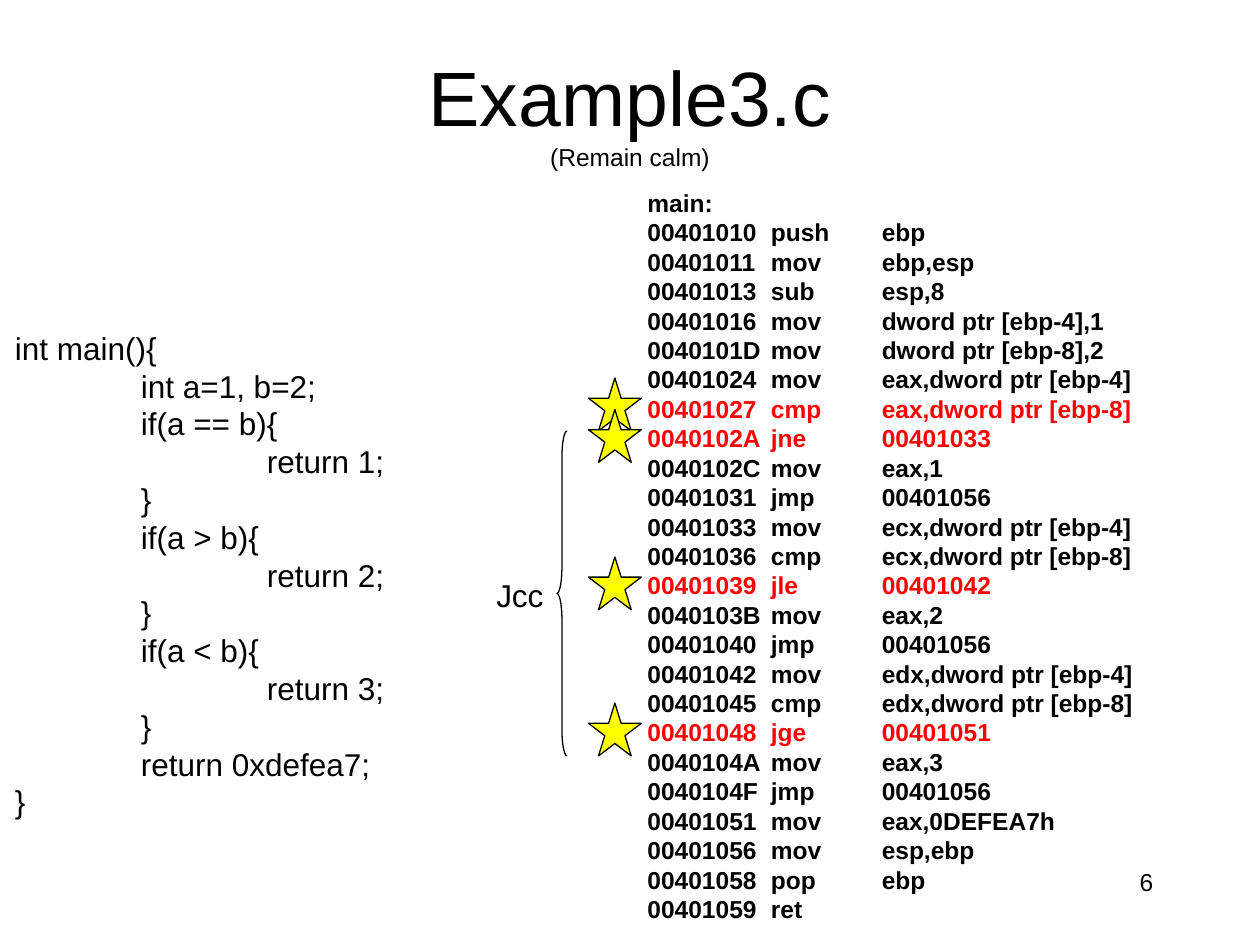
import dataclasses

import lxml.etree
import pptx
import pptx.dml.color
import pptx.enum.shapes
import pptx.enum.text
import pptx.oxml.ns
import pptx.util
from pptx.util import Inches

ALIGN = pptx.enum.text.PP_ALIGN
ANCHOR = pptx.enum.text.MSO_ANCHOR
SHAPE = pptx.enum.shapes.MSO_SHAPE


def rgb(value):
    return pptx.dml.color.RGBColor.from_string(value)


@dataclasses.dataclass(frozen=True)
class Theme:
    font: str = "Arial"
    ink: str = "000000"
    highlight: str = "FF0000"
    star: str = "FFFF00"
    title: int = 44
    code: int = 18
    small: int = 14
    outline: float = 0.75


THEME = Theme()

SOURCE_CODE = """int main(){
\tint a=1, b=2;
\tif(a == b){
\t\treturn 1;
\t}
\tif(a > b){
\t\treturn 2;
\t}
\tif(a < b){
\t\treturn 3;
\t}
\treturn 0xdefea7;
}""".split("\n")

ASSEMBLY = [
    ("main:",),
    ("00401010", "push", "ebp"),
    ("00401011", "mov", "ebp,esp"),
    ("00401013", "sub", "esp,8"),
    ("00401016", "mov", "dword ptr [ebp-4],1"),
    ("0040101D", "mov", "dword ptr [ebp-8],2"),
    ("00401024", "mov", "eax,dword ptr [ebp-4]"),
    ("00401027", "cmp", "eax,dword ptr [ebp-8]"),
    ("0040102A", "jne", "00401033"),
    ("0040102C", "mov", "eax,1"),
    ("00401031", "jmp", "00401056"),
    ("00401033", "mov", "ecx,dword ptr [ebp-4]"),
    ("00401036", "cmp", "ecx,dword ptr [ebp-8]"),
    ("00401039", "jle", "00401042"),
    ("0040103B", "mov", "eax,2"),
    ("00401040", "jmp", "00401056"),
    ("00401042", "mov", "edx,dword ptr [ebp-4]"),
    ("00401045", "cmp", "edx,dword ptr [ebp-8]"),
    ("00401048", "jge", "00401051"),
    ("0040104A", "mov", "eax,3"),
    ("0040104F", "jmp", "00401056"),
    ("00401051", "mov", "eax,0DEFEA7h"),
    ("00401056", "mov", "esp,ebp"),
    ("00401058", "pop", "ebp"),
    ("00401059", "ret"),
]
HIGHLIGHTED = {"00401027", "0040102A", "00401039", "00401048"}
STAR_TOPS = (3, 3.25, 4.42, 5.58)


def place(shape, left, top, width, height):
    shape.left, shape.top = Inches(left), Inches(top)
    shape.width, shape.height = Inches(width), Inches(height)


def add_run(para, text, size, color=THEME.ink, bold=False):
    span = para.add_run()
    span.text = text
    span.font.name = THEME.font
    span.font.size = pptx.util.Pt(size)
    span.font.bold = bold
    span.font.color.rgb = rgb(color)


def set_tabs(para, stops):
    tab_list = lxml.etree.SubElement(
        para._p.get_or_add_pPr(), pptx.oxml.ns.qn("a:tabLst"))
    for stop in stops:
        lxml.etree.SubElement(tab_list, pptx.oxml.ns.qn("a:tab"),
                              pos=str(Inches(stop)), algn="l")


def add_text(page, frame, lines, size, tabs=(), bold=False,
             align=ALIGN.LEFT, anchor=ANCHOR.TOP):
    box = page.shapes.add_textbox(*map(Inches, frame))
    text = box.text_frame
    text.word_wrap = True
    text.vertical_anchor = anchor
    for index, (line, color) in enumerate(lines):
        para = text.add_paragraph() if index else text.paragraphs[0]
        para.alignment = align
        if tabs:
            set_tabs(para, tabs)
        add_run(para, line, size, color, bold)


def add_title(page, heading, remark):
    title = page.shapes.title
    place(title, 0.75, 0.25, 8.5, 1.25)
    title.text_frame.auto_size = pptx.enum.text.MSO_AUTO_SIZE.NONE
    title.text_frame.vertical_anchor = ANCHOR.MIDDLE
    para = title.text_frame.paragraphs[0]
    para.alignment = ALIGN.CENTER
    add_run(para, heading, THEME.title)
    para.add_line_break()
    add_run(para, remark, THEME.small)


def add_outlined(page, kind, frame, fill=None):
    shape = page.shapes.add_shape(kind, *map(Inches, frame))
    shape.shadow.inherit = False
    shape.line.color.rgb = rgb(THEME.ink)
    shape.line.width = pptx.util.Pt(THEME.outline)
    if fill:
        shape.fill.solid()
        shape.fill.fore_color.rgb = rgb(fill)
    else:
        shape.fill.background()
    return shape


def main():
    deck = pptx.Presentation()
    deck.slide_width, deck.slide_height = Inches(10), Inches(7.5)
    page = deck.slides.add_slide(deck.slide_layouts.get_by_name("Title Only"))

    add_text(page, (7.17, 6.83, 2.08, 0.5), [("6", THEME.ink)],
             THEME.small, align=ALIGN.RIGHT)
    add_title(page, "Example3.c", "(Remain calm)")
    add_text(page, (0.02, 2.56, 3.13, 4),
             [(line, THEME.ink) for line in SOURCE_CODE],
             THEME.code, tabs=(1, 2), anchor=ANCHOR.MIDDLE)
    add_text(page, (5.04, 1.44, 4.1, 5.94),
             [("\t".join(row),
               THEME.highlight if row[0] in HIGHLIGHTED else THEME.ink)
              for row in ASSEMBLY],
             THEME.small, tabs=(0.98, 1.86), bold=True, anchor=ANCHOR.MIDDLE)
    for top in STAR_TOPS:
        add_outlined(page, SHAPE.STAR_5_POINT, (4.67, top, 0.42, 0.42), THEME.star)
    brace = add_outlined(page, SHAPE.LEFT_BRACE, (4.42, 3.42, 0.08, 2.58))
    brace.adjustments[0] = 2.6
    add_text(page, (3.84, 4.52, 0.62, 0.4), [("Jcc", THEME.ink)], THEME.code)

    deck.save("out.pptx")


main()
